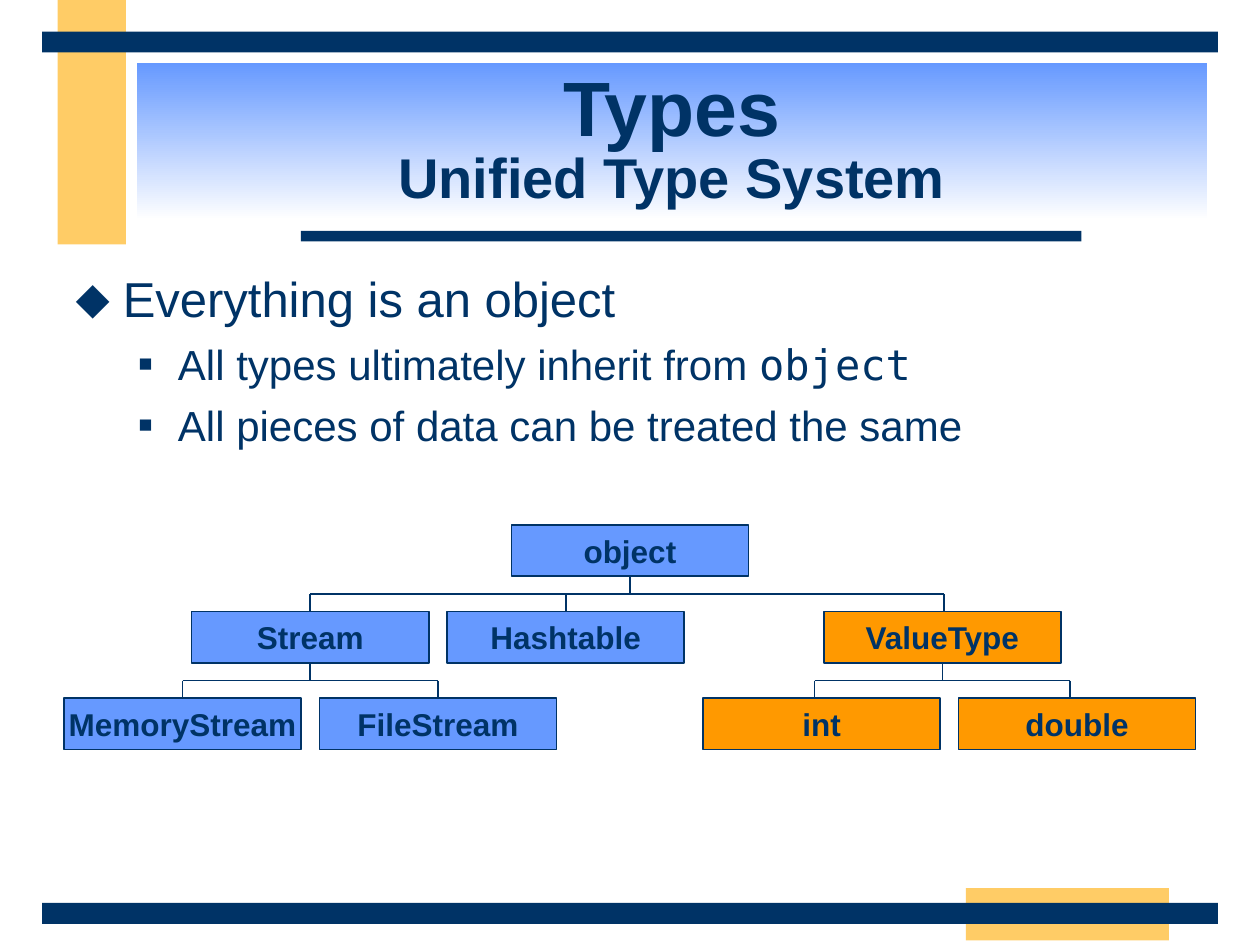
"""Build the Unified Type System slide with its type hierarchy."""
from dataclasses import dataclass

from lxml import etree
from pptx import Presentation, util as u
from pptx.dml.color import RGBColor
from pptx.enum import shapes, text
from pptx.oxml import ns


@dataclass(frozen=True)
class Theme:
    navy: str = "003366"
    sand: str = "FFCC66"
    blue: str = "6699FF"
    orange: str = "FF9900"
    white: str = "FFFFFF"
    sans: str = "Arial"
    mono: str = "DejaVu Sans Mono"
    title: int = 44
    subtitle: int = 32
    point: int = 28
    subpoint: int = 24
    label: int = 18
    line: float = 0.88


def apply(target, values):
    for name, value in values.items():
        setattr(target, name, value)


class Deck:
    def __init__(self, theme, slide):
        self.theme, self.slide = theme, slide

    def place(self, holder, left, top, width, height):
        apply(holder, {"left": u.Pt(left), "top": u.Pt(top),
                       "width": u.Pt(width), "height": u.Pt(height)})

    def frame(self, shape, anchor, inset=(7.2, 3.6)):
        across, down = map(u.Pt, inset)
        apply(shape.text_frame, {
            "word_wrap": True, "auto_size": text.MSO_AUTO_SIZE.NONE,
            "vertical_anchor": anchor, "margin_left": across,
            "margin_right": across, "margin_top": down, "margin_bottom": down})
        return shape.text_frame

    def run(self, paragraph, words, size, bold=False, face=None):
        run = paragraph.add_run()
        run.text = words
        apply(run.font, {"name": face or self.theme.sans,
                         "size": u.Pt(size), "bold": bold})
        run.font.color.rgb = RGBColor.from_string(self.theme.navy)

    def bar(self, left, top, width, height, color):
        bar = self.slide.shapes.add_shape(
            shapes.MSO_SHAPE.RECTANGLE, *map(u.Pt, (left, top, width, height)))
        bar.shadow.inherit = False
        bar.fill.solid()
        bar.fill.fore_color.rgb = RGBColor.from_string(color)
        bar.line.fill.background()
        return bar

    def title(self, heading, subheading, area):
        title = self.slide.shapes.title
        self.place(title, *area)
        title.fill.gradient()
        title.fill.gradient_angle = 270
        stops = zip(title.fill.gradient_stops, (self.theme.blue, self.theme.white))
        for position, (stop, color) in enumerate(stops):
            stop.position = position
            stop.color.rgb = RGBColor.from_string(color)
        lines = self.frame(title, text.MSO_ANCHOR.MIDDLE).paragraphs[0]
        apply(lines, {"alignment": text.PP_ALIGN.CENTER, "line_spacing": 0.85})
        self.run(lines, heading, self.theme.title, True)
        lines.add_line_break()
        self.run(lines, subheading, self.theme.subtitle, True)

    def bullet(self, paragraph, mark, percent, margin, hanging):
        props = paragraph._p.get_or_add_pPr()
        props.set("marL", str(u.Pt(margin)))
        props.set("indent", str(-u.Pt(hanging)))
        color = etree.SubElement(props, ns.qn("a:buClr"))
        etree.SubElement(color, ns.qn("a:srgbClr"), val=self.theme.navy)
        etree.SubElement(props, ns.qn("a:buSzPct"), val=str(percent * 1000))
        etree.SubElement(props, ns.qn("a:buFont"), typeface=self.theme.sans)
        etree.SubElement(props, ns.qn("a:buChar"), char=mark)

    def body(self, points, area):
        body = self.slide.placeholders[1]
        self.place(body, *area)
        frame = self.frame(body, text.MSO_ANCHOR.TOP)
        styles = (("⬥", 100, 27, 27), ("■", 55, 58.5, 22.5))
        sizes = (self.theme.point, self.theme.subpoint)
        for index, (level, pieces) in enumerate(points):
            point = frame.add_paragraph() if index else frame.paragraphs[0]
            self.bullet(point, *styles[level])
            apply(point, {"level": level, "space_before": u.Pt(6 if index else 0),
                          "alignment": text.PP_ALIGN.LEFT})
            for words, face in pieces:
                self.run(point, words, sizes[level], face=face)

    def connector(self, *ends):
        line = self.slide.shapes.add_connector(
            shapes.MSO_CONNECTOR.STRAIGHT, *map(u.Pt, ends))
        line.line.width = u.Pt(self.theme.line)
        line.line.color.rgb = RGBColor.from_string(self.theme.navy)
        etree.SubElement(line._element.spPr, ns.qn("a:effectLst"))

    def branch(self, parent, children, top, gap):
        middle = top + gap / 2
        self.connector(parent, top, parent, middle)
        for child in children:
            self.connector(child, middle, child, top + gap)
        joints = sorted([parent, *children])
        for start, end in zip(joints, joints[1:]):
            self.connector(start, middle, end, middle)

    def node(self, name, center, top, width, height, color):
        node = self.bar(center - width / 2, top, width, height, color)
        node.line.width = u.Pt(self.theme.line)
        node.line.color.rgb = RGBColor.from_string(self.theme.navy)
        label = self.frame(node, text.MSO_ANCHOR.MIDDLE, (0, 0)).paragraphs[0]
        label.alignment = text.PP_ALIGN.CENTER
        self.run(label, name, self.theme.label, True)


def main():
    theme = Theme()
    presentation = Presentation()
    apply(presentation, {"slide_width": u.Pt(720), "slide_height": u.Pt(540)})
    slide = presentation.slides.add_slide(presentation.slide_layouts[1])
    deck = Deck(theme, slide)

    for area, color in (((33, 0, 39, 139.7), theme.sand),
                        ((552, 507.5, 116, 30), theme.sand),
                        ((172, 132, 446, 6), theme.navy),
                        ((24, 516, 672, 12), theme.navy),
                        ((24, 18, 672, 12), theme.navy)):
        deck.bar(*area, color)

    deck.title("Types", "Unified Type System", (78, 36, 612, 90))
    deck.body([
        (0, [("Everything is an object", theme.sans)]),
        (1, [("All types ultimately inherit from ", theme.sans),
             ("object", theme.mono)]),
        (1, [("All pieces of data can be treated the same", theme.sans)]),
    ], (36, 150, 648, 354))

    first, step, width, height = 300, 49.5, 135.5, 29.3
    spread = 73
    stream, value = 177.3, 538.5
    for row, parent, children in (
            (0, 360, (stream, stream + 2 * spread, value + 1)),
            (1, stream, (stream - spread, stream + spread)),
            (1, value, (value - spread, value + spread))):
        deck.branch(parent, children, first + row * step + height, step - height)

    for name, center, row, color in (
            ("object", 360, 0, theme.blue),
            ("Stream", stream, 1, theme.blue),
            ("Hashtable", stream + 2 * spread, 1, theme.blue),
            ("ValueType", value, 1, theme.orange),
            ("MemoryStream", stream - spread, 2, theme.blue),
            ("FileStream", stream + spread, 2, theme.blue),
            ("int", 469.5, 2, theme.orange),
            ("double", 469.5 + 2 * spread, 2, theme.orange)):
        deck.node(name, center, first + row * step, width, height, color)

    presentation.save("out.pptx")


if __name__ == "__main__":
    main()
